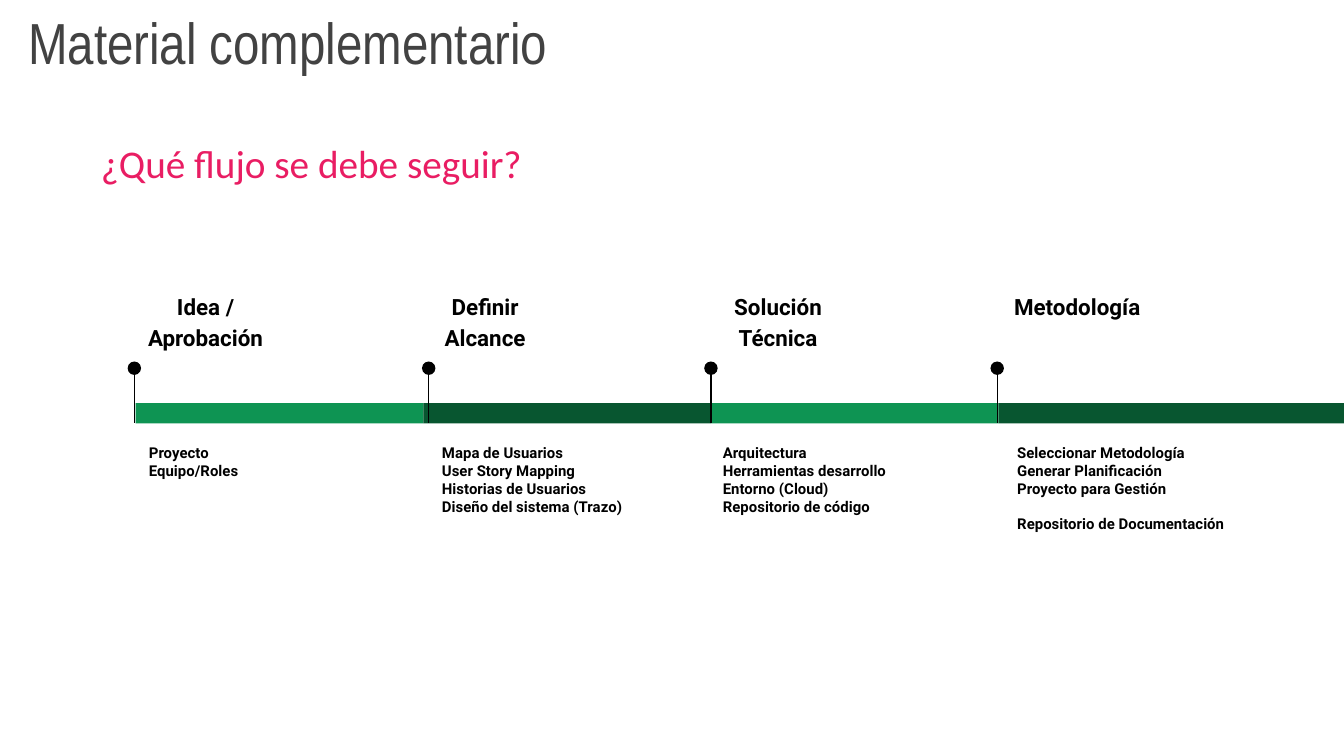
from dataclasses import dataclass

from lxml.etree import SubElement
from pptx import Presentation
from pptx.dml.color import RGBColor
from pptx.enum.shapes import MSO_CONNECTOR as LINE, MSO_SHAPE as SHAPE
from pptx.enum.text import MSO_ANCHOR, MSO_AUTO_SIZE, PP_ALIGN
from pptx.oxml.ns import qn
from pptx.util import Inches, Pt


@dataclass(frozen=True)
class Theme:
    """Colours, fonts and type sizes of the slide."""
    black: str = "000000"
    title: str = "424242"
    accent: str = "E91D63"
    greens: tuple = ("0E9453", "085630")
    title_font: str = "Arial Narrow"
    question_font: str = "Calibri"
    body_font: str = "Roboto"
    title_size: float = 31
    question_size: float = 21
    heading_size: float = 12
    item_size: float = 8
    gap: float = 9.4


@dataclass(frozen=True)
class Stage:
    """One stage of the flow, with its places in inches."""
    heading: str
    heading_left: float
    heading_width: float
    pin_x: float
    items: tuple
    items_left: float
    items_width: float
    closing: str = ""


THEME = Theme()
SLIDE_WIDTH = 10
SLIDE_HEIGHT = SLIDE_WIDTH * 9 / 16
BAR_LEFT, BAR_STEP, BAR_TOP, BAR_HEIGHT = 1.01, 2.14, 3, 0.15
PIN_TOP, DOT = 2.69, 0.1

STAGES = (
    Stage("Idea / Aprobación", 0.95, 1.16, 1.0,
          ("Proyecto", "Equipo/Roles"), 1.01, 1.53),
    Stage("Definir Alcance", 3.03, 1.16, 3.19,
          ("Mapa de Usuarios", "User Story Mapping", "Historias de Usuarios",
           "Diseño del sistema (Trazo)"), 3.19, 1.76),
    Stage("Solución Técnica", 5.21, 1.16, 5.29,
          ("Arquitectura", "Herramientas desarrollo", "Entorno (Cloud)",
           "Repositorio de código"), 5.28, 1.53),
    Stage("Metodología", 7.34, 1.35, 7.42,
          ("Seleccionar Metodología", "Generar Planificación",
           "Proyecto para Gestión"), 7.47, 2.21,
          "Repositorio de Documentación"),
)


def style(p, font, size, color, bold=False):
    """Set the font of a whole paragraph."""
    p.font.name, p.font.size, p.font.bold = font, Pt(size), bold
    p.font.color.rgb = RGBColor.from_string(color)


def set_frame(tf, inset, anchor=MSO_ANCHOR.TOP):
    """Give a text frame equal insets, wrapping and an anchor."""
    tf.word_wrap = True
    tf.auto_size = MSO_AUTO_SIZE.NONE
    tf.vertical_anchor = anchor
    tf.margin_left = tf.margin_right = Inches(inset)
    tf.margin_top = tf.margin_bottom = Inches(inset)


def add_title(s, text):
    """Place and format the title placeholder."""
    sp = s.shapes.title
    sp.left, sp.top = Inches(0.11), Inches(0)
    sp.width, sp.height = Inches(8.31), Inches(0.67)
    set_frame(sp.text_frame, 0.1, MSO_ANCHOR.BOTTOM)
    sp.text_frame.text = text
    p = sp.text_frame.paragraphs[0]
    p.alignment = PP_ALIGN.LEFT
    style(p, THEME.title_font, THEME.title_size, THEME.title)


def add_text(s, box, lines, font, size, color, bold=False, inset=0.1):
    """Add a text box with one paragraph per line and return its paragraphs."""
    tf = s.shapes.add_textbox(*map(Inches, box)).text_frame
    set_frame(tf, inset)
    tf.text = "\n".join(lines)
    for p in tf.paragraphs:
        style(p, font, size, color, bold)
    return tf.paragraphs


def add_solid(shapes, kind, box, color):
    """Add a filled shape without outline or shadow."""
    sp = shapes.add_shape(kind, *map(Inches, box))
    sp.shadow.inherit = False
    sp.fill.solid()
    sp.fill.fore_color.rgb = RGBColor.from_string(color)
    sp.line.fill.background()


def add_bar(s, index):
    """Add the timeline segment of a stage; the last runs to the slide edge."""
    left = BAR_LEFT + index * BAR_STEP
    last = index == len(STAGES) - 1
    width = SLIDE_WIDTH - left if last else BAR_STEP
    add_solid(s.shapes, SHAPE.RECTANGLE, (left, BAR_TOP, width, BAR_HEIGHT),
              THEME.greens[index % 2])


def add_pin(s, x):
    """Add a grouped stem and dot that mark the start of a stage."""
    group = s.shapes.add_group_shape()
    ends = (x, PIN_TOP + DOT / 2, x, BAR_TOP + BAR_HEIGHT)
    stem = group.shapes.add_connector(LINE.STRAIGHT, *map(Inches, ends))
    stem.line.color.rgb = RGBColor.from_string(THEME.black)
    stem.line.width = Pt(0.75)
    SubElement(stem._element.spPr, qn("a:effectLst"))
    add_solid(group.shapes, SHAPE.OVAL, (x - DOT / 2, PIN_TOP, DOT, DOT),
              THEME.black)


def add_stage(s, stage):
    """Add the pin, heading and items of a stage."""
    add_pin(s, stage.pin_x)
    box = (stage.heading_left, 2.05, stage.heading_width, 0.41)
    p = add_text(s, box, [stage.heading], THEME.body_font,
                 THEME.heading_size, THEME.black, True)[0]
    p.alignment, p.line_spacing, p.space_after = PP_ALIGN.CENTER, 1.15, Pt(16)
    lines = stage.items + ((stage.closing,) if stage.closing else ())
    box = (stage.items_left, 3.2, stage.items_width, 1.03)
    items = add_text(s, box, lines, THEME.body_font, THEME.item_size,
                     THEME.black, True)
    if stage.closing:
        items[-1].space_before = Pt(THEME.gap)


def main():
    """Build and save the slide."""
    prs = Presentation()
    prs.slide_width, prs.slide_height = Inches(SLIDE_WIDTH), Inches(SLIDE_HEIGHT)
    s = prs.slides.add_slide(prs.slide_layouts[5])
    add_title(s, "Material complementario")
    add_text(s, (0.68, 0.97, 7.08, 0.49), ["¿Qué flujo se debe seguir?"],
             THEME.question_font, THEME.question_size, THEME.accent, inset=0.07)
    for index in range(len(STAGES)):
        add_bar(s, index)
    for stage in STAGES:
        add_stage(s, stage)
    prs.save("out.pptx")


if __name__ == "__main__":
    main()
